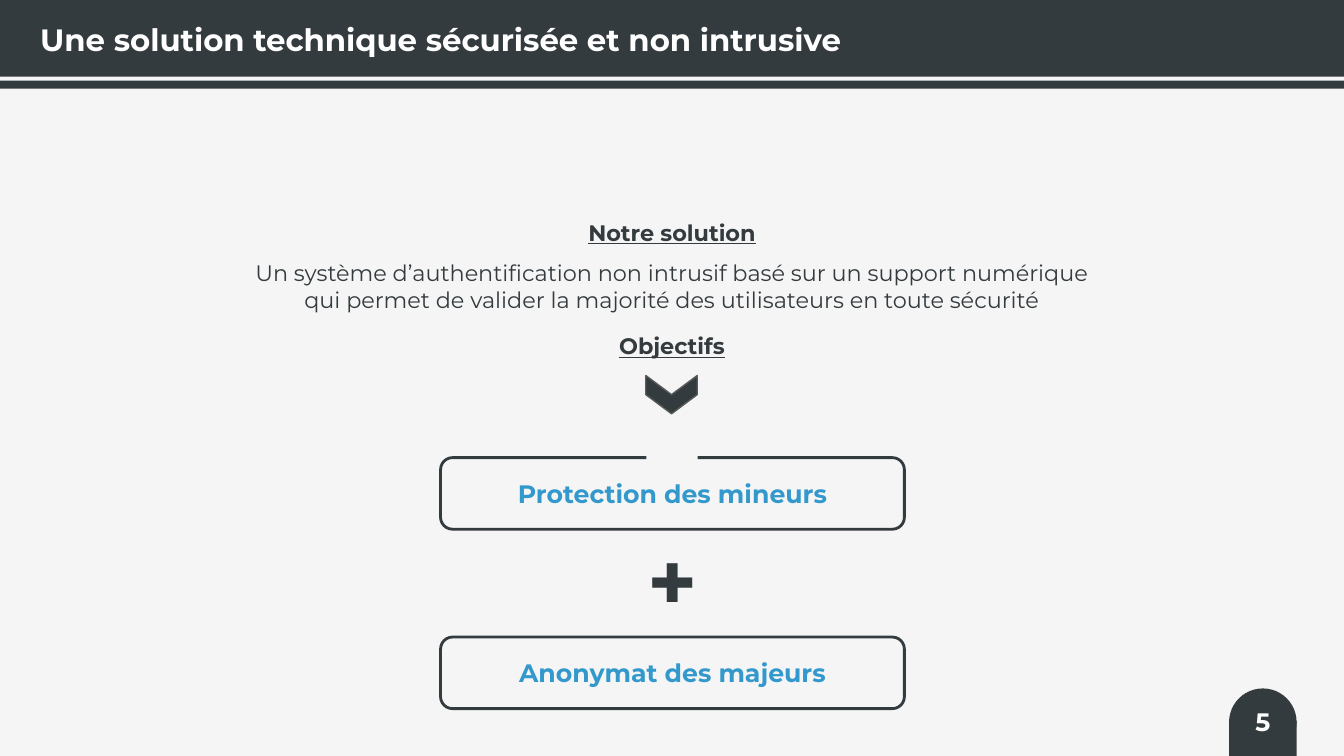
from dataclasses import dataclass

from pptx import Presentation
from pptx.dml.color import RGBColor
from pptx.enum.shapes import MSO_SHAPE
from pptx.enum.text import MSO_ANCHOR, PP_ALIGN
from pptx.util import Inches, Pt


@dataclass(frozen=True)
class Theme:
    font: str = "Montserrat"
    paper: RGBColor = RGBColor(0xF5, 0xF5, 0xF5)
    dark: RGBColor = RGBColor(0x34, 0x3B, 0x3F)
    edge: RGBColor = RGBColor(0x59, 0x59, 0x59)
    blue: RGBColor = RGBColor(0x33, 0x99, 0xCC)
    white: RGBColor = RGBColor(0xFF, 0xFF, 0xFF)
    title: int = 22
    body: int = 16
    label: int = 18
    plus: int = 60


THEME = Theme()
WIDTH, HEIGHT = 13.33, 7.5


def write(par, text, size, color, bold=True, under=False, align=PP_ALIGN.CENTER):
    par.text = text
    par.alignment = align
    font = par.font
    font.name, font.size, font.bold = THEME.font, Pt(size), bold
    font.underline = under
    font.color.rgb = color


def add_form(slide, kind, box, fill=None, line=None, weight=1):
    form = slide.shapes.add_shape(kind, *map(Inches, box))
    form.shadow.inherit = False
    if fill is None:
        form.fill.background()
    else:
        form.fill.solid()
        form.fill.fore_color.rgb = fill
    if line is None:
        form.line.fill.background()
    else:
        form.line.color.rgb = line
        form.line.width = Pt(weight)
    return form


def add_text(slide, box, text, size, color, **style):
    frame = slide.shapes.add_textbox(*map(Inches, box)).text_frame
    frame.word_wrap = True
    write(frame.paragraphs[0], text, size, color, **style)
    return frame


def add_goal(slide, top, text):
    goal = add_form(slide, MSO_SHAPE.ROUNDED_RECTANGLE, (4.37, top, 4.6, 0.71),
                    line=THEME.dark, weight=2)
    goal.text_frame.vertical_anchor = MSO_ANCHOR.MIDDLE
    write(goal.text_frame.paragraphs[0], text, THEME.label, THEME.blue)


def add_header(slide, text):
    for top, height in ((0, 0.76), (0.8, 0.08)):
        add_form(slide, MSO_SHAPE.RECTANGLE, (0, top, WIDTH, height), THEME.dark)
    add_text(slide, (0.3, 0.16, 9.99, 0.47), text, THEME.title, THEME.white,
             align=PP_ALIGN.LEFT)


def add_intro(slide):
    frame = add_text(slide, (2.35, 2.12, 8.63, 1.04), "Notre solution",
                     THEME.body, THEME.dark, under=True)
    par = frame.add_paragraph()
    write(par, "Un système d’authentification non intrusif basé sur un support "
          "numérique qui permet de valider la majorité des utilisateurs en toute "
          "sécurité", THEME.body, THEME.dark, bold=False)
    par.space_before = Pt(10)


def add_goals(slide):
    add_goal(slide, 6.32, "Anonymat des majeurs")
    add_goal(slide, 4.54, "Protection des mineurs")
    add_form(slide, MSO_SHAPE.RECTANGLE, (6.41, 4.36, 0.51, 0.35), THEME.paper)
    add_text(slide, (5.4, 3.25, 2.53, 0.37), "Objectifs", THEME.body, THEME.dark,
             under=True)
    arrow = add_form(slide, MSO_SHAPE.CHEVRON, (6.47, 3.66, 0.38, 0.51),
                     THEME.dark, THEME.edge)
    arrow.rotation = 90
    add_text(slide, (6.18, 5.19, 0.98, 1.11), "+", THEME.plus, THEME.dark)


def add_page(slide, number):
    """Draw the round-topped tab with the page number."""
    add_form(slide, MSO_SHAPE.OVAL, (12.19, 6.83, 0.67, 0.67), THEME.dark)
    add_form(slide, MSO_SHAPE.RECTANGLE, (12.19, 7.15, 0.67, 0.35), THEME.dark)
    tab = add_form(slide, MSO_SHAPE.RECTANGLE, (12.26, 6.96, 0.53, 0.4), THEME.dark)
    tab.text_frame.vertical_anchor = MSO_ANCHOR.TOP
    write(tab.text_frame.paragraphs[0], number, THEME.label, THEME.white)


def main():
    deck = Presentation()
    deck.slide_width, deck.slide_height = Inches(WIDTH), Inches(HEIGHT)
    slide = deck.slides.add_slide(deck.slide_layouts[6])
    slide.background.fill.solid()
    slide.background.fill.fore_color.rgb = THEME.paper
    add_header(slide, "Une solution technique sécurisée et non intrusive")
    add_intro(slide)
    add_goals(slide)
    add_page(slide, "5")
    deck.save("out.pptx")


if __name__ == "__main__":
    main()
